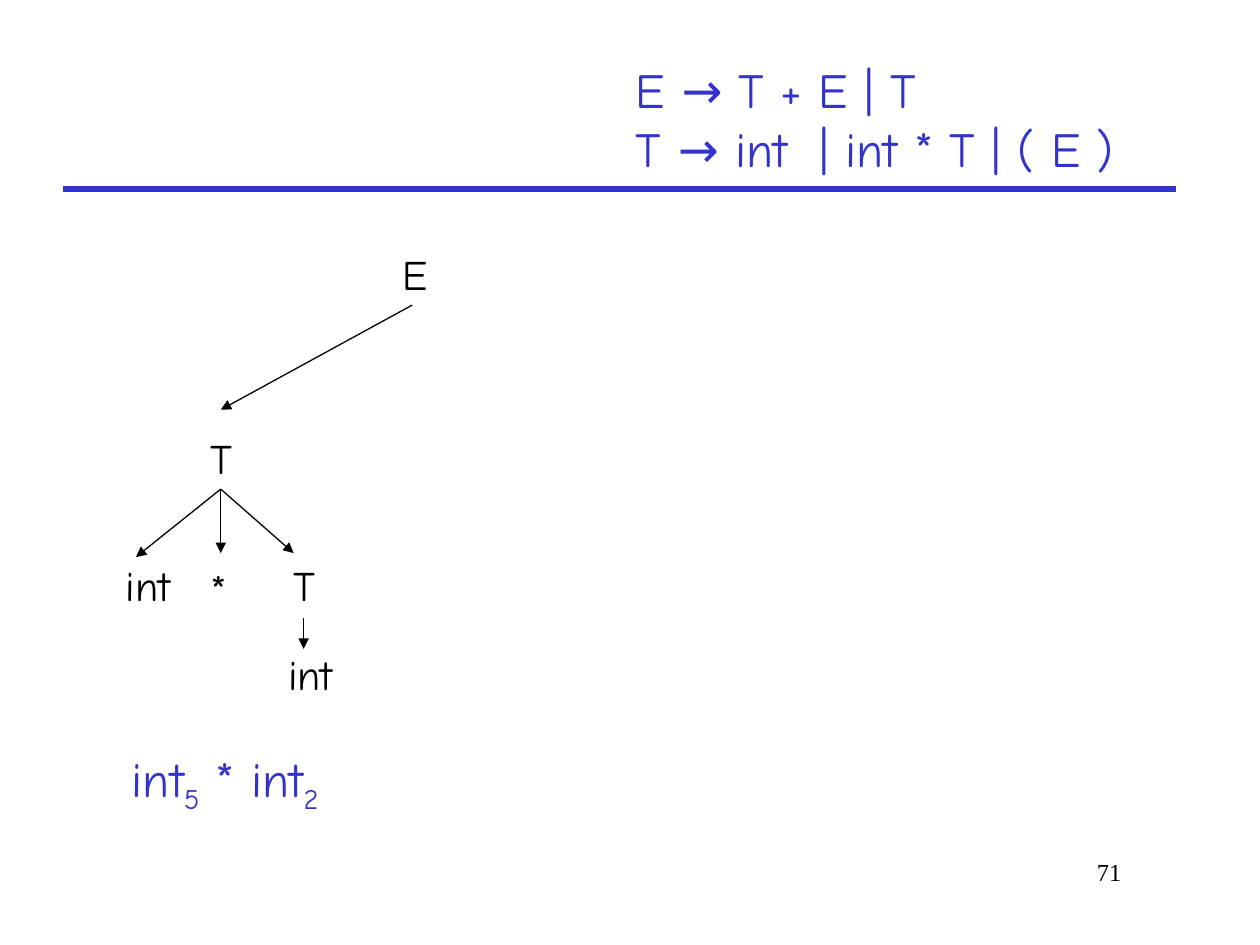
from lxml.etree import SubElement
from pptx import Presentation
from pptx.dml.color import RGBColor
from pptx.enum.shapes import MSO_CONNECTOR as Connector
from pptx.enum.text import MSO_AUTO_SIZE as AutoSize, PP_ALIGN as Align
from pptx.oxml.ns import qn
from pptx.util import Cm, Pt

COLORS = {"ink": "000000", "accent": "3333CC"}


class SlideBuilder:
    def __init__(self, slide, font="Comic Neue"):
        self.slide = slide
        self.font = font

    def text(self, box, lines, size, color="ink", wrap=True, font=None,
             align=Align.LEFT, indent=0, grow=True):
        """Each line is a list of runs; a run starting with "_" is a subscript."""
        frame = self.slide.shapes.add_textbox(*map(Cm, box)).text_frame
        frame.word_wrap = wrap
        frame.auto_size = AutoSize.SHAPE_TO_FIT_TEXT if grow else AutoSize.NONE
        for index, runs in enumerate(lines):
            line = frame.add_paragraph() if index else frame.paragraphs[0]
            line.alignment = align
            if indent:
                properties = line._p.get_or_add_pPr()
                properties.set("marL", str(Cm(indent)))
                properties.set("indent", "0")
            for content in runs:
                run = line.add_run()
                run.text = content.removeprefix("_")
                run.font.name = font or self.font
                run.font.size = Pt(size)
                run.font.color.rgb = RGBColor.from_string(COLORS[color])
                if content.startswith("_"):
                    run._r.get_or_add_rPr().set("baseline", "-25000")

    def node(self, symbol, left, top):
        width = 1.45 if len(symbol) > 1 else 0.94
        self.text((left, top, width, 1.29), [[symbol]], 24, wrap=False)

    def line(self, start, end, color="ink", width=0.75):
        line = self.slide.shapes.add_connector(
            Connector.STRAIGHT, *map(Cm, start + end))
        line.line.color.rgb = RGBColor.from_string(COLORS[color])
        line.line.width = Pt(width)
        SubElement(line._element.spPr, qn("a:effectLst"))
        return line

    def arrow(self, start, end):
        outline = self.line(start, end).line._get_or_add_ln()
        SubElement(outline, qn("a:tailEnd"), type="triangle")


def main():
    deck = Presentation()
    deck.slide_width, deck.slide_height = Cm(25.4), Cm(19.05)
    builder = SlideBuilder(deck.slides.add_slide(deck.slide_layouts[6]))

    builder.line((1.27, 3.81), (23.7, 3.81), "accent", 3)
    grammar = [["E → T + E | T"], ["T → int  | int * T | ( E )"]]
    builder.text((11, 1.07, 13.08, 2.64), grammar, 28, "accent", indent=1.57)

    parse_tree = [
        ("E", 7.87, 4.88),
        ("T", 3.99, 8.59),
        ("int", 2.29, 11.15), ("*", 3.99, 11.23), ("T", 5.66, 11.15),
        ("int", 5.56, 12.95),
    ]
    for symbol, left, top in parse_tree:
        builder.node(symbol, left, top)

    branches = {
        (8.31, 6.15): [(4.45, 8.26)],
        (4.45, 9.86): [(2.74, 11.23), (4.45, 11.15), (5.92, 11.15)],
        (6.12, 12.45): [(6.12, 13.08)],
    }
    for parent, children in branches.items():
        for child in children:
            builder.arrow(parent, child)

    token_input = [["int", "_5", " * int", "_2"]]
    builder.text((2.41, 14.96, 12.7, 1.45), token_input, 28, "accent")
    builder.text((19.25, 17.15, 3.61, 1.27), [["71"]], 14,
                 font="Times New Roman", align=Align.RIGHT, grow=False)
    deck.save("out.pptx")


if __name__ == "__main__":
    main()
